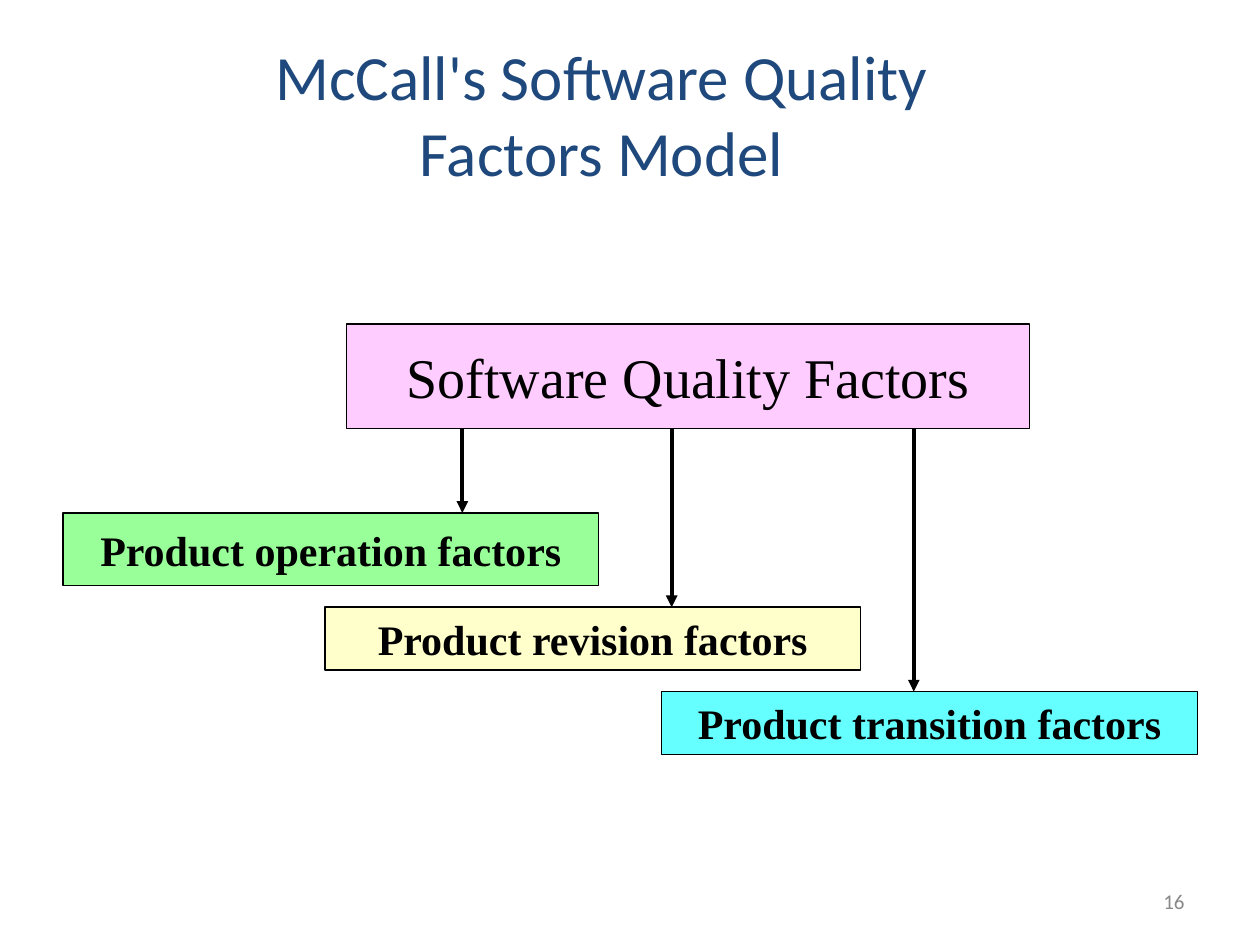
import pptx
import pptx.util
import pptx.dml.color
import pptx.enum.shapes
import pptx.enum.text
import pptx.oxml.ns
import lxml.etree
from pptx.util import Cm

COLORS = {
    "black": "000000", "title": "1F497D", "number": "898989",
    "pink": "FFCCFF", "green": "99FF99", "yellow": "FFFFCC", "cyan": "66FFFF",
}
TITLE = ["McCall's Software Quality", "Factors Model"]
PAGE_NUMBER = "16"
ROOT = ("Software Quality Factors", "pink", 6.99, 6.53, 13.77, 2.11)
FACTOR_WIDTH = 10.8
FACTORS = [
    ("Product operation factors", "green", 1.27, 10.34, 1.47, 9.32),
    ("Product revision factors", "yellow", 6.55, 12.24, 1.27, 13.54),
    ("Product transition factors", "cyan", 13.34, 13.94, 1.27, 18.42),
]
ALIGN = pptx.enum.text.PP_ALIGN
MIDDLE = pptx.enum.text.MSO_ANCHOR.MIDDLE
TOP = pptx.enum.text.MSO_ANCHOR.TOP


def rgb(name):
    return pptx.dml.color.RGBColor.from_string(COLORS[name])


def write(sp, lines, size, font, color, align=ALIGN.CENTER, anchor=MIDDLE, bold=False):
    tf = sp.text_frame
    tf.word_wrap = True
    tf.vertical_anchor = anchor
    tf.text = "\n".join(lines)
    for p in tf.paragraphs:
        p.alignment = align
        p.font.size = pptx.util.Pt(size)
        p.font.name = font
        p.font.bold = bold
        p.font.color.rgb = rgb(color)


def add_box(s, text, fill, left, top, width, height, size, bold):
    sp = s.shapes.add_shape(pptx.enum.shapes.MSO_SHAPE.RECTANGLE,
                            Cm(left), Cm(top), Cm(width), Cm(height))
    sp.shadow.inherit = False
    sp.fill.solid()
    sp.fill.fore_color.rgb = rgb(fill)
    sp.line.color.rgb = rgb("black")
    sp.line.width = pptx.util.Pt(0.75)
    write(sp, [text], size, "Times New Roman", "black", bold=bold)


def add_arrow(s, x, top, bottom):
    c = s.shapes.add_connector(pptx.enum.shapes.MSO_CONNECTOR.STRAIGHT,
                               Cm(x), Cm(top), Cm(x), Cm(bottom))
    c.line.color.rgb = rgb("black")
    c.line.width = pptx.util.Pt(2.25)
    qn = pptx.oxml.ns.qn
    lxml.etree.SubElement(c.line._get_or_add_ln(), qn("a:tailEnd"), type="triangle")
    lxml.etree.SubElement(c._element.spPr, qn("a:effectLst"))


def main():
    prs = pptx.Presentation()
    prs.slide_width, prs.slide_height = Cm(25.4), Cm(19.05)
    s = prs.slides.add_slide(prs.slide_layouts[6])

    add_box(s, *ROOT, size=32, bold=False)
    root_bottom = ROOT[3] + ROOT[5]
    for text, fill, left, top, height, arrow_x in FACTORS:
        add_box(s, text, fill, left, top, FACTOR_WIDTH, height, size=24, bold=True)
        add_arrow(s, arrow_x, root_bottom, top)

    title = s.shapes.add_textbox(Cm(2.74), Cm(0.64), Cm(18.77), Cm(3.2))
    write(title, TITLE, 36, "Calibri", "title", anchor=TOP)
    number = s.shapes.add_textbox(Cm(18.21), Cm(17.65), Cm(5.92), Cm(1.02))
    write(number, [PAGE_NUMBER], 12, "Calibri", "number", align=ALIGN.RIGHT)

    prs.save("out.pptx")


if __name__ == "__main__":
    main()
